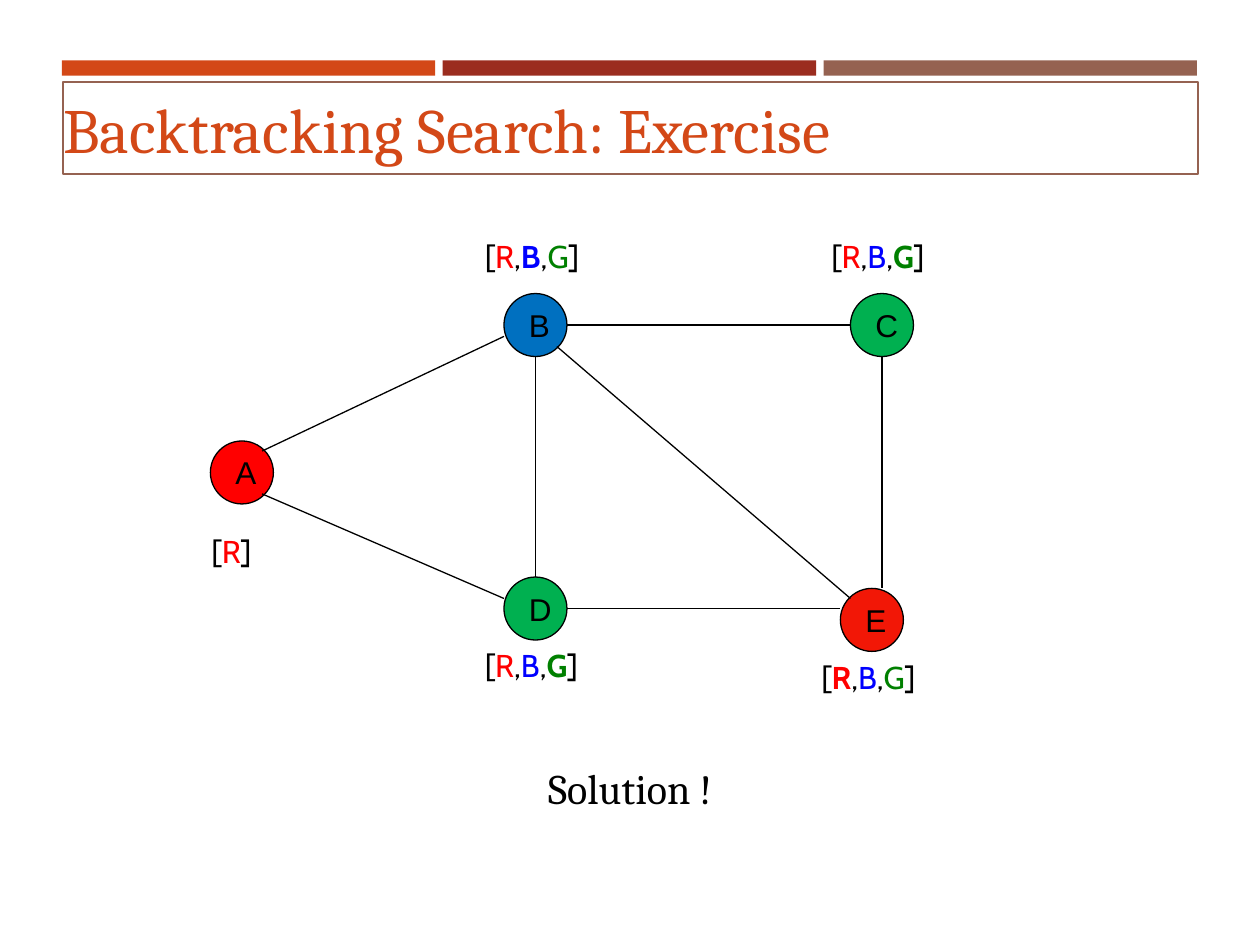
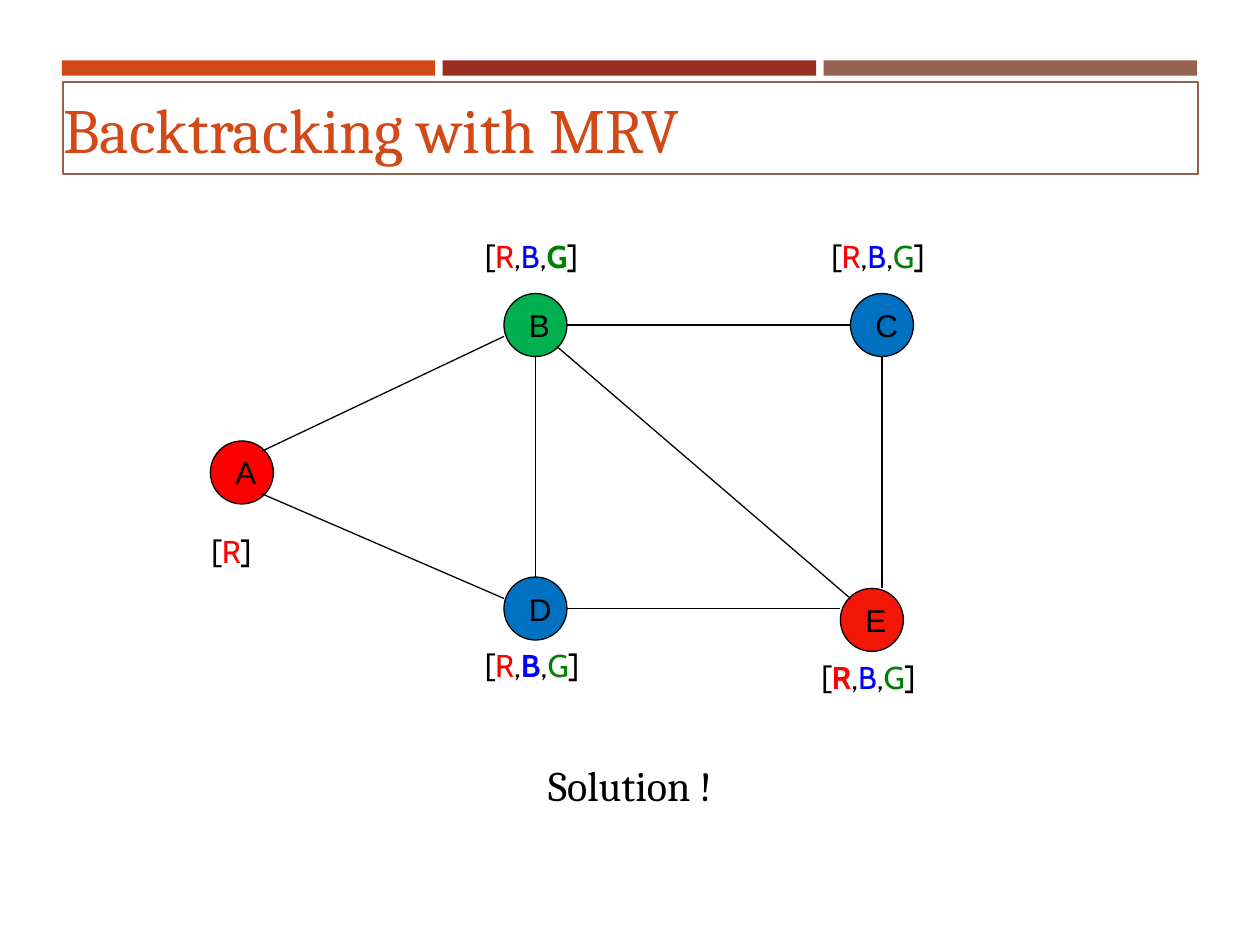
import pptx
import pptx.dml.color
import pptx.enum.shapes
import pptx.enum.text
import pptx.oxml
import pptx.oxml.ns
import pptx.util

Inches = pptx.util.Inches
Pt = pptx.util.Pt
RGBColor = pptx.dml.color.RGBColor
MSO_SHAPE = pptx.enum.shapes.MSO_SHAPE
PP_ALIGN = pptx.enum.text.PP_ALIGN
AUTO_SIZE = pptx.enum.text.MSO_AUTO_SIZE

ORANGE = RGBColor(0xD3, 0x48, 0x17)
MAROON = RGBColor(0x9B, 0x2D, 0x1F)
BROWN = RGBColor(0x95, 0x62, 0x51)
BLACK = RGBColor(0, 0, 0)
NODE_RED = RGBColor(0xFF, 0, 0)
NODE_SCARLET = RGBColor(0xF2, 0x17, 0x06)
NODE_GREEN = RGBColor(0, 0xB0, 0x50)
NODE_BLUE = RGBColor(0, 0x70, 0xC0)
VALUE_COLORS = {
    "R": RGBColor(0xFF, 0, 0),
    "B": RGBColor(0, 0, 0xFF),
    "G": RGBColor(0, 0x80, 0),
}

TITLE_BOX = (0.5, 0.71, 9.01, 0.61)
BAND_BOX = (0.49, 0.48, 9.01, 0.12)
GRAPH_BOX = (1.5, 1.75, 6, 4)
NODE_SIZE = 0.5

NODE_OFFSETS = {
    "A": (0.17, 1.75),
    "B": (2.5, 0.58),
    "C": (5.25, 0.58),
    "D": (2.5, 2.83),
    "E": (5.17, 2.92),
}
DOMAIN_OFFSETS = {
    "A": (0.08, 2.42),
    "B": (2.25, 0.08),
    "C": (5, 0.08),
    "D": (2.25, 3.33),
    "E": (4.92, 3.42),
}
EDGES = [
    ("A", (0.41, 0.08), "B", (0, 0.34)),
    ("A", (0.41, 0.42), "D", (0, 0.17)),
    ("B", (0.25, 0.5), "D", (0.25, 0)),
    ("B", (0.5, 0.25), "C", (0, 0.25)),
    ("C", (0.25, 0.5), "E", (0.33, 0)),
    ("D", (0.5, 0.25), "E", (0, 0.16)),
    ("B", (0.42, 0.42), "E", (0.08, 0.08)),
]

SLIDES = [
    {
        "title": "Backtracking Search: Exercise",
        "fills": {"A": NODE_RED, "B": NODE_BLUE, "C": NODE_GREEN,
                  "D": NODE_GREEN, "E": NODE_SCARLET},
        "bold_values": {"B": "B", "C": "G", "D": "G", "E": "R"},
        "solution_box": (4.04, 6, 1.92, 0.5),
    },
    {
        "title": "Backtracking with MRV",
        "fills": {"A": NODE_RED, "B": NODE_GREEN, "C": NODE_BLUE,
                  "D": NODE_BLUE, "E": NODE_SCARLET},
        "bold_values": {"B": "G", "D": "B", "E": "R"},
        "solution_box": (3.79, 5.98, 2.42, 0.5),
    },
]


def inches(box):
    return [Inches(length) for length in box]


def shift(origin, offset):
    return origin[0] + offset[0], origin[1] + offset[1]


def add_span(para, text, font, size, color, bold=False):
    span = para.add_run()
    span.text = text
    span.font.name = font
    span.font.size = Pt(size)
    span.font.color.rgb = color
    span.font.bold = bold


def add_text_box(page, box, wrap=True, align=PP_ALIGN.CENTER):
    frame = page.shapes.add_textbox(*inches(box)).text_frame
    frame.word_wrap = wrap
    frame.auto_size = AUTO_SIZE.SHAPE_TO_FIT_TEXT
    para = frame.paragraphs[0]
    para.alignment = align
    return para


def add_filled_shape(page, kind, box, color):
    shape = page.shapes.add_shape(kind, *inches(box))
    shape.shadow.inherit = False
    shape.fill.solid()
    shape.fill.fore_color.rgb = color
    shape.line.fill.background()
    return shape


def move_bands_to_master(deck, page, box):
    left, top, width, height = box
    gap = 0.06
    band_width = (width - 2 * gap) / 3
    for index, color in enumerate((ORANGE, MAROON, BROWN)):
        band_box = (left + index * (band_width + gap), top, band_width, height)
        band = add_filled_shape(page, MSO_SHAPE.RECTANGLE, band_box, color)
        deck.slide_master.element.cSld.spTree.append(band.element)


def place_layout_title(layout, box):
    title = layout.placeholders[0]
    title.left, title.top, title.width, title.height = inches(box)


def fill_title(page, text):
    title = page.shapes.title
    title.line.color.rgb = BROWN
    title.line.width = Pt(1)
    frame = title.text_frame
    frame.margin_left = frame.margin_right = 0
    frame.margin_top = frame.margin_bottom = 0
    frame.vertical_anchor = pptx.enum.text.MSO_ANCHOR.MIDDLE
    frame.auto_size = AUTO_SIZE.SHAPE_TO_FIT_TEXT
    para = frame.paragraphs[0]
    para.alignment = PP_ALIGN.LEFT
    add_span(para, text, "Cambria", 36, ORANGE)


def draw_node(page, corner, fill):
    box = (*corner, NODE_SIZE, NODE_SIZE)
    node = add_filled_shape(page, MSO_SHAPE.OVAL, box, fill)
    node.line.color.rgb = BLACK
    node.line.width = Pt(0.75)


def draw_edge(page, start, end):
    edge = page.shapes.add_connector(
        pptx.enum.shapes.MSO_CONNECTOR.STRAIGHT, *inches(start + end))
    edge.line.color.rgb = BLACK
    edge.line.width = Pt(0.75)
    properties = edge.element.spPr
    properties.append(pptx.oxml.parse_xml(
        "<a:effectLst %s/>" % pptx.oxml.ns.nsdecls("a")))


def draw_domain(page, corner, values, bold_value):
    width = 1.04 if len(values) > 1 else 0.55
    para = add_text_box(page, (*corner, width, 0.4), False, PP_ALIGN.LEFT)
    for character in "[" + ",".join(values) + "]":
        add_span(para, character, "Cabin", 18,
                 VALUE_COLORS.get(character, BLACK), character == bold_value)


def draw_graph(page, box, fills, bold_values):
    origin = box[:2]
    corners = {name: shift(origin, offset)
               for name, offset in NODE_OFFSETS.items()}
    for name, corner in corners.items():
        draw_node(page, corner, fills[name])
    for first, start, second, end in EDGES:
        draw_edge(page, shift(corners[first], start),
                  shift(corners[second], end))
    for name, offset in DOMAIN_OFFSETS.items():
        values = "R" if name == "A" else "RBG"
        draw_domain(page, shift(origin, offset), values, bold_values.get(name))
    for name, corner in corners.items():
        letter_box = (*shift(corner, (0.1, 0.05)), 0.3, 0.4)
        add_span(add_text_box(page, letter_box), name, "Arial", 18, BLACK)


def build_slide(page, content):
    fill_title(page, content["title"])
    draw_graph(page, GRAPH_BOX, content["fills"], content["bold_values"])
    solution = add_text_box(page, content["solution_box"])
    add_span(solution, "Solution !", "Cambria", 24, BLACK)


def main():
    deck = pptx.Presentation()
    deck.slide_width = Inches(10)
    deck.slide_height = Inches(7.5)
    layout = deck.slide_layouts[5]
    place_layout_title(layout, TITLE_BOX)
    pages = [deck.slides.add_slide(layout) for content in SLIDES]
    move_bands_to_master(deck, pages[0], BAND_BOX)
    for page, content in zip(pages, SLIDES):
        build_slide(page, content)
    deck.save("out.pptx")


if __name__ == "__main__":
    main()
